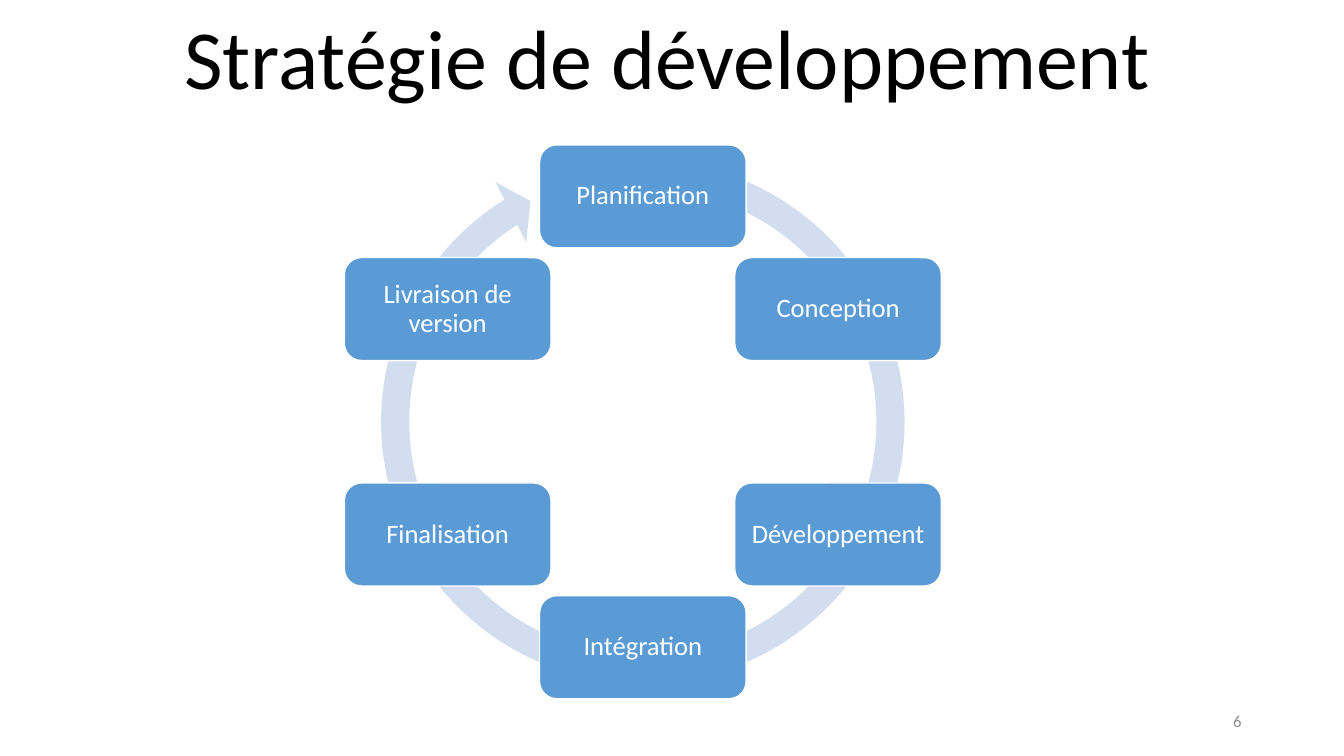
import math

from pptx import Presentation
from pptx.dml.color import RGBColor
from pptx.enum import shapes, text
from pptx.util import Pt

TITLE = "Stratégie de développement"
STEPS = ["Planification", "Conception", "Développement",
         "Intégration", "Finalisation", "Livraison de version"]
PAGE_NUMBER = "6"

FONT = "Calibri"
BLACK = RGBColor(0x00, 0x00, 0x00)
WHITE = RGBColor(0xFF, 0xFF, 0xFF)
GREY = RGBColor(0x8C, 0x8C, 0x8C)
BLUE = RGBColor(0x5B, 0x9B, 0xD5)
PALE_BLUE = RGBColor(0xD2, 0xDE, 0xEF)

# Lengths in points
CENTER_X, CENTER_Y = 459.2, 301.3
RADIUS = 161
STEP_WIDTH, STEP_HEIGHT = 147.6, 73.6
STEP_INSET = 5
ARROW_SIZE = 402
ARROW_ADJUSTMENTS = [0.05, 3.13, 142.68, 171.04, 0.06]


def write(box, words, size, color, align, anchor, spacing=1.0):
    frame = box.text_frame
    frame.text = words
    frame.word_wrap = True
    frame.vertical_anchor = anchor
    para = frame.paragraphs[0]
    para.alignment = align
    para.line_spacing = spacing
    font = para.runs[0].font
    font.name, font.size, font.color.rgb = FONT, Pt(size), color


def add_centered(page, kind, x, y, width, height, color):
    """Add a filled preset shape centred on (x, y)."""
    shape = page.shapes.add_shape(kind, Pt(x - width / 2), Pt(y - height / 2),
                                  Pt(width), Pt(height))
    shape.shadow.inherit = False
    shape.fill.solid()
    shape.fill.fore_color.rgb = color
    return shape


def add_cycle(page):
    arrow = add_centered(page, shapes.MSO_SHAPE.CIRCULAR_ARROW, CENTER_X, CENTER_Y,
                         ARROW_SIZE, ARROW_SIZE, PALE_BLUE)
    arrow.line.fill.background()
    for index, value in enumerate(ARROW_ADJUSTMENTS):
        arrow.adjustments[index] = value

    for index, step in enumerate(STEPS):
        angle = 2 * math.pi * index / len(STEPS)
        box = add_centered(page, shapes.MSO_SHAPE.ROUNDED_RECTANGLE,
                           CENTER_X + RADIUS * math.sin(angle),
                           CENTER_Y - RADIUS * math.cos(angle),
                           STEP_WIDTH, STEP_HEIGHT, BLUE)
        box.line.color.rgb = WHITE
        box.line.width = Pt(1)
        frame = box.text_frame
        frame.margin_left = frame.margin_right = Pt(STEP_INSET)
        frame.margin_top = frame.margin_bottom = Pt(STEP_INSET)
        write(box, step, 19, WHITE, text.PP_ALIGN.CENTER, text.MSO_ANCHOR.MIDDLE, 0.9)


def main():
    deck = Presentation()
    deck.slide_width, deck.slide_height = Pt(960), Pt(540)
    page = deck.slides.add_slide(deck.slide_layouts[6])

    title = page.shapes.add_textbox(Pt(116.6), Pt(4.5), Pt(720), Pt(75.6))
    write(title, TITLE, 60, BLACK, text.PP_ALIGN.CENTER, text.MSO_ANCHOR.BOTTOM, 0.9)
    add_cycle(page)
    number = page.shapes.add_textbox(Pt(678), Pt(500.4), Pt(216), Pt(28.8))
    write(number, PAGE_NUMBER, 12, GREY, text.PP_ALIGN.RIGHT, text.MSO_ANCHOR.MIDDLE)

    deck.save("out.pptx")


if __name__ == "__main__":
    main()
